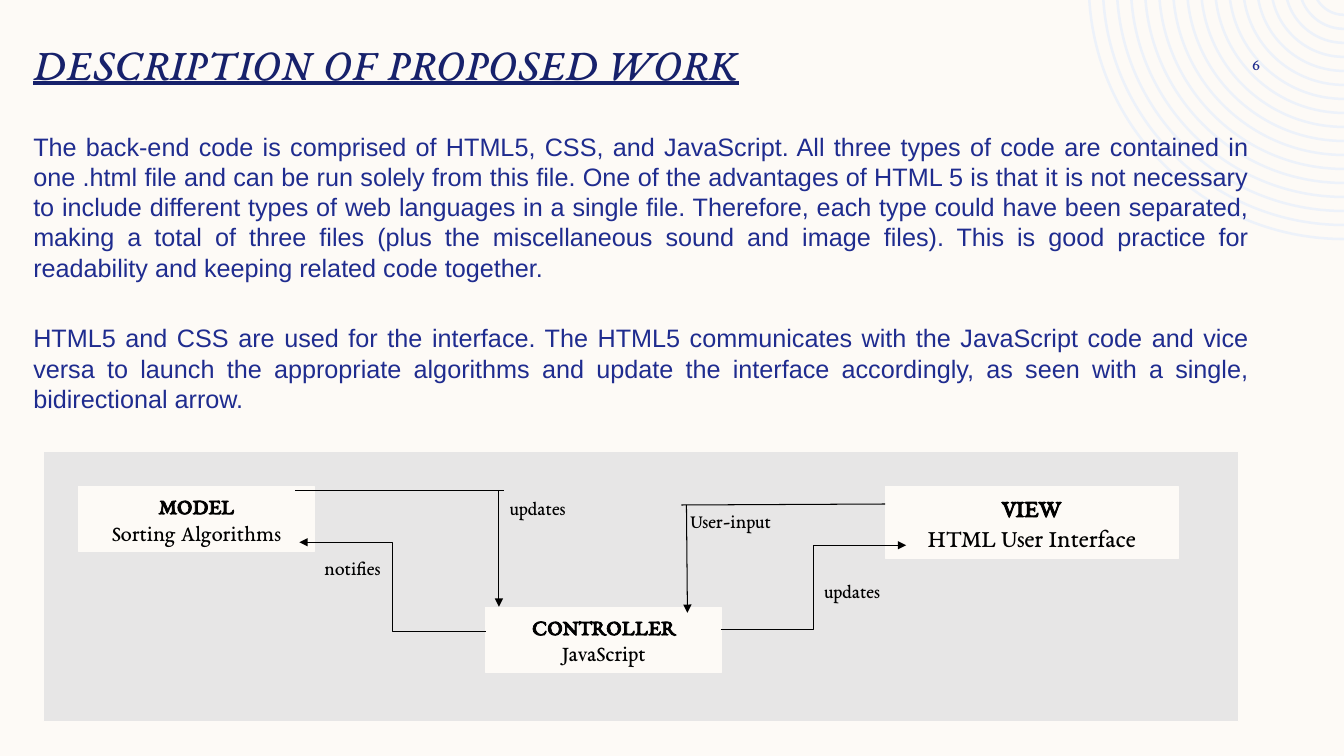
import math
from dataclasses import dataclass

from lxml import etree
from pptx import Presentation
from pptx import util as u
from pptx.dml.color import RGBColor
from pptx.enum import shapes, text
from pptx.oxml import ns

CELL = 0.1  # inches per grid column and row
COLUMNS, ROWS = 133.33, 75
CREAM, GREY, BLACK = "FDFAF6", "E7E6E6", "000000"
NAVY, BLUE, PALE = "17216B", "1F2C8F", "EDF2FA"
SERIF, SANS = "EB Garamond", "Arial"
LEFT, CENTER = text.PP_ALIGN.LEFT, text.PP_ALIGN.CENTER
RIGHT, JUSTIFY = text.PP_ALIGN.RIGHT, text.PP_ALIGN.JUSTIFY
STRAIGHT, BENT = shapes.MSO_CONNECTOR.STRAIGHT, shapes.MSO_CONNECTOR.ELBOW


@dataclass
class Area:
    column: float
    row: float
    columns: float
    rows: float


@dataclass
class Node:
    area: Area
    name: str
    detail: str
    size: int


@dataclass
class Label:
    area: Area
    wording: str


@dataclass
class Link:
    start: tuple[float, float]
    end: tuple[float, float]
    kind: int = STRAIGHT
    arrow: bool = True


@dataclass
class Style:
    size: int
    color: str
    font: str = SERIF
    bold: bool = False
    italic: bool = False
    underline: bool = False


TITLE = "DESCRIPTION OF PROPOSED WORK"
BODY = [
    "The back-end code is comprised of HTML5, CSS, and JavaScript. All three types of code are "
    "contained in one .html file and can be run solely from this file. One of the advantages of "
    "HTML 5 is that it is not necessary to include different types of web languages in a single "
    "file. Therefore, each type could have been separated, making a total of three files (plus "
    "the miscellaneous sound and image files). This is good practice for readability and keeping "
    "related code together.",
    "HTML5 and CSS are used for the interface. The HTML5 communicates with the JavaScript code "
    "and vice versa to launch the appropriate algorithms and update the interface accordingly, "
    "as seen with a single, bidirectional arrow.",
]
NODES = [
    Node(Area(7.8, 48.3, 23.4, 6.4), "MODEL", "Sorting Algorithms", 16),
    Node(Area(48.2, 60.3, 23.4, 6.4), "CONTROLLER", "JavaScript", 16),
    Node(Area(87.8, 48.3, 29.1, 7.1), "VIEW", "HTML User Interface", 18),
]
LINKS = [
    Link((48.2, 62.7), (29.7, 53.8), BENT),
    Link((29.3, 48.7), (50, 48.7), arrow=False),
    Link((49.5, 48.7), (49.5, 60.2)),
    Link((71.5, 62.5), (89.9, 54.1), BENT),
    Link((67.6, 50.1), (87.8, 50), arrow=False),
    Link((68.1, 50.1), (68.2, 60.8)),
]
LABELS = [
    Label(Area(31.2, 54.7, 14.1, 3.4), "notifies"),
    Label(Area(49.6, 48.7, 16.9, 3.4), "updates"),
    Label(Area(80.8, 56.9, 9, 3.4), "updates"),
    Label(Area(67.5, 50, 21, 3.4), "User-input"),
]


def cells(count: float) -> int:
    return u.Inches(count * CELL)


def color(code: str) -> RGBColor:
    return RGBColor.from_string(code)


def bounds(area: Area) -> list[int]:
    return [cells(n) for n in (area.column, area.row, area.columns, area.rows)]


def write(para, wording: str, style: Style, align) -> None:
    para.alignment = align
    para.line_spacing = 1.0
    span = para.add_run()
    span.text = wording
    font = span.font
    font.name, font.size = style.font, u.Pt(style.size)
    font.bold, font.italic, font.underline = style.bold, style.italic, style.underline
    font.color.rgb = color(style.color)


def place(box, area: Area) -> None:
    box.left, box.top, box.width, box.height = bounds(area)
    frame = box.text_frame
    frame.word_wrap = True
    frame.auto_size = text.MSO_AUTO_SIZE.NONE
    frame.vertical_anchor = text.MSO_ANCHOR.TOP


def arc(radius: float, center_row: float) -> list[tuple[int, int]]:
    """Give the four Bézier points of a ring edge, from the slide's top to its right side."""
    start = math.asin(-center_row / radius)
    reach = 4 / 3 * math.tan((math.pi / 2 - start) / 4)
    cos, sin = math.cos(start), math.sin(start)
    points = [(cos, sin), (cos - reach * sin, sin + reach * cos), (reach, 1), (0, 1)]
    return [(cells(COLUMNS - x * radius), cells(center_row + y * radius)) for x, y in points]


def draw_rings(page) -> None:
    """Draw concentric quarter rings in the top right corner, behind everything else."""
    count, smallest, pitch, thickness, center_row = 17, 3.2, 1.39, 0.25, -1.6
    radii = [smallest + ring * pitch for ring in reversed(range(count))]
    edges = [(arc(r, center_row), arc(r - thickness, center_row)[::-1]) for r in radii]
    builder = page.shapes.build_freeform(*edges[0][0][0])
    for outer, inner in edges:
        if outer is not edges[0][0]:
            builder.move_to(*outer[0])
        builder.add_line_segments([outer[3], inner[0], inner[3]], close=True)
    rings = builder.convert_to_shape()
    sides = list(rings._element.iter(ns.qn("a:lnTo")))
    for index, edge in enumerate(edges):
        for side, curve in zip(sides[index * 3:index * 3 + 3:2], edge):
            side.tag = ns.qn("a:cubicBezTo")
            for position, (x, y) in enumerate(curve[1:3]):
                point = etree.Element(ns.qn("a:pt"), x=str(x - rings.left), y=str(y - rings.top))
                side.insert(position, point)
    rings.shadow.inherit = False
    rings.fill.solid()
    rings.fill.fore_color.rgb = color(PALE)
    rings.line.fill.background()
    page.shapes._spTree.insert(2, rings._element)


def draw_panel(page, area: Area, fill: str):
    panel = page.shapes.add_shape(shapes.MSO_SHAPE.RECTANGLE, *bounds(area))
    panel.shadow.inherit = False
    panel.fill.solid()
    panel.fill.fore_color.rgb = color(fill)
    panel.line.color.rgb = color(CREAM)
    panel.line.width = u.Pt(0.75)
    return panel


def draw_node(page, node: Node) -> None:
    box = draw_panel(page, node.area, CREAM)
    place(box, node.area)
    frame = box.text_frame
    write(frame.paragraphs[0], node.name, Style(node.size, BLACK, bold=True), CENTER)
    write(frame.add_paragraph(), node.detail, Style(node.size, BLACK), CENTER)


def draw_link(page, link: Link) -> None:
    ends = [cells(n) for n in link.start + link.end]
    line = page.shapes.add_connector(link.kind, *ends)
    line.line.color.rgb = color(BLACK)
    line.line.width = u.Pt(0.75)
    if link.arrow:
        etree.SubElement(line.line._get_or_add_ln(), ns.qn("a:tailEnd"), type="triangle")
    etree.SubElement(line._element.spPr, ns.qn("a:effectLst"))


def draw_label(page, label: Label, style: Style, align=LEFT):
    box = page.shapes.add_textbox(*bounds(label.area))
    place(box, label.area)
    write(box.text_frame.paragraphs[0], label.wording, style, align)
    return box


def fill_body(box) -> None:
    place(box, Area(2.3, 12.5, 122.6, 30))
    frame = box.text_frame
    for index, wording in enumerate(BODY):
        para = frame.add_paragraph() if index else frame.paragraphs[0]
        para.space_before = u.Pt(28.8 if index else 0)
        write(para, wording, Style(18, BLUE, SANS), JUSTIFY)
        settings = para._p.get_or_add_pPr()
        settings.set("marL", "0")
        settings.set("indent", "0")
        etree.SubElement(settings, ns.qn("a:buNone"))


def main() -> None:
    deck = Presentation()
    deck.slide_width, deck.slide_height = cells(COLUMNS), cells(ROWS)
    page = deck.slides.add_slide(deck.slide_layouts[1])
    page.background.fill.solid()
    page.background.fill.fore_color.rgb = color(CREAM)
    draw_rings(page)
    title = page.shapes.title
    place(title, Area(2.3, 3, 100, 7))
    heading = Style(32, NAVY, italic=True, underline=True)
    write(title.text_frame.paragraphs[0], TITLE, heading, LEFT)
    fill_body(page.placeholders[1])
    number = draw_label(page, Label(Area(114.2, 5, 10.8, 2.7), "6"), Style(12, BLUE), RIGHT)
    number.text_frame.margin_right = 0
    number.text_frame.vertical_anchor = text.MSO_ANCHOR.MIDDLE
    draw_panel(page, Area(4.3, 44.8, 118.6, 26.8), GREY)
    for node in NODES:
        draw_node(page, node)
    for link in LINKS:
        draw_link(page, link)
    for label in LABELS:
        draw_label(page, label, Style(14, BLACK))
    deck.save("out.pptx")


if __name__ == "__main__":
    main()
